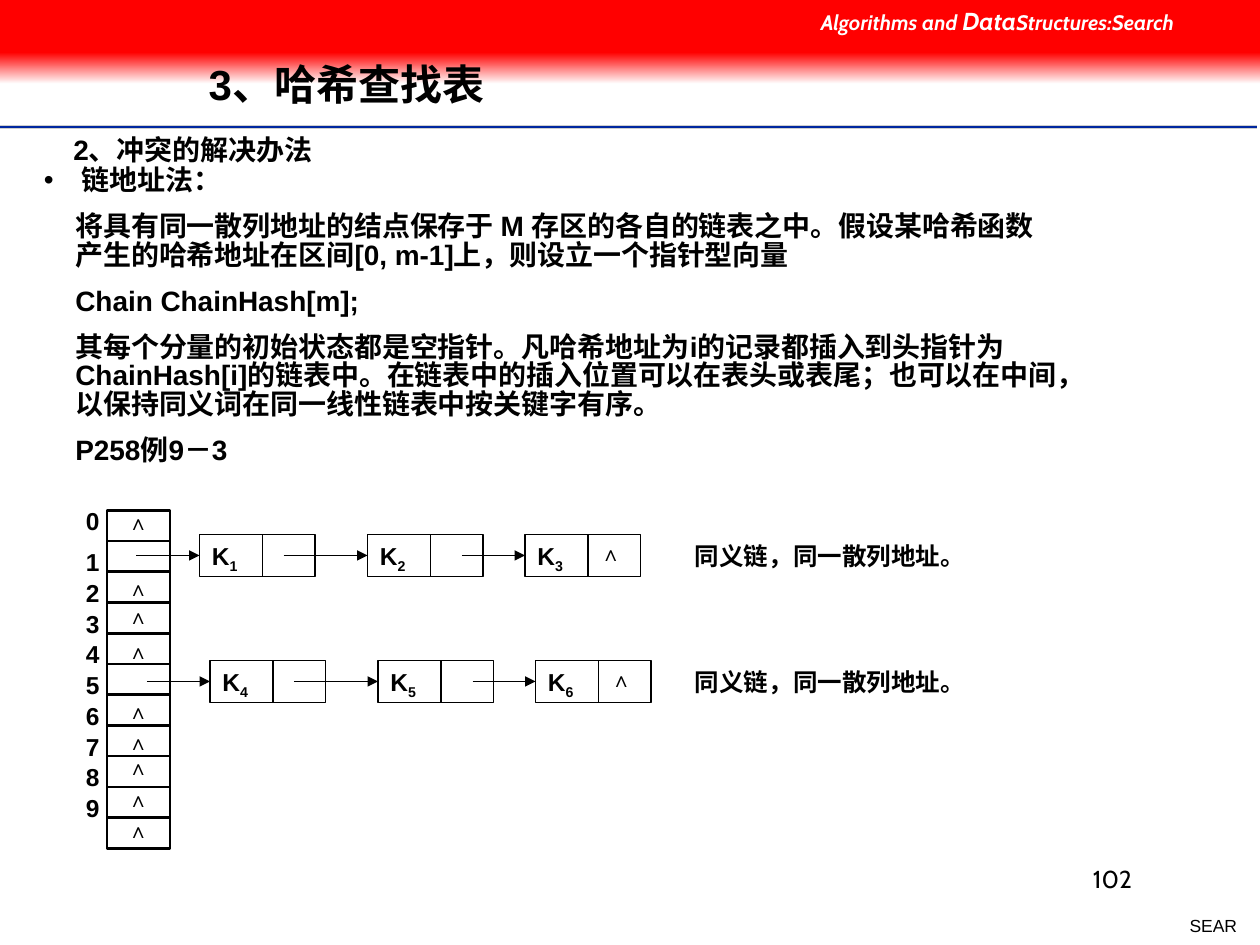
import pptx
import pptx.util
import pptx.dml.color
import pptx.enum.dml
import pptx.enum.shapes
import pptx.enum.text
import pptx.oxml.ns
from lxml import etree

THEME = {
    "black": "000000", "white": "FFFFFF", "red": "FF0000", "blue": "00279F", "grey": "CECECE",
    "font": "Arial", "display": "Cabin",
    "title": 24, "body": 16, "label": 14, "small": 12, "footer": 10,
}
qn = pptx.oxml.ns.qn
rgb = pptx.dml.color.RGBColor.from_string
Pt = pptx.util.Pt
ALIGN = pptx.enum.text.PP_ALIGN

deck = pptx.Presentation()
deck.slide_width = pptx.util.Inches(10)
deck.slide_height = pptx.util.Inches(7.5)
slide = deck.slides.add_slide(deck.slide_layouts[6])
UNIT = deck.slide_width / 120


def write(left, top, width, height, paragraphs, font=THEME["font"], color=THEME["black"],
          bold=True, italic=False, align=ALIGN.LEFT, wrap=True, grow=True):
    box = slide.shapes.add_textbox(*(round(n * UNIT) for n in (left, top, width, height)))
    frame = box.text_frame
    frame.word_wrap = wrap
    if grow:
        frame.auto_size = pptx.enum.text.MSO_AUTO_SIZE.SHAPE_TO_FIT_TEXT
    for index, runs in enumerate(paragraphs):
        paragraph = frame.paragraphs[0] if index == 0 else frame.add_paragraph()
        paragraph.alignment = align
        for words, size, baseline in runs:
            run = paragraph.add_run()
            run.text = words
            run.font.name = font
            run.font.size = Pt(size)
            run.font.bold = bold
            run.font.italic = italic
            run.font.color.rgb = rgb(color)
            if baseline:
                run.font._element.set("baseline", str(baseline))
    return frame


def rule(x1, y1, x2, y2, width, color=THEME["black"], target=None):
    line = slide.shapes.add_connector(
        pptx.enum.shapes.MSO_CONNECTOR.STRAIGHT, *(round(n * UNIT) for n in (x1, y1, x2, y2)))
    line.line.width = Pt(width)
    line.line.color.rgb = rgb(color)
    etree.SubElement(line._element.spPr, qn("a:effectLst"))
    if target is not None:
        line.end_connect(target, 1)
        etree.SubElement(line.line._get_or_add_ln(), qn("a:tailEnd"), type="triangle")


RULE_Y = 12.12
for y, width, color in [(RULE_Y, 2, "grey"), (RULE_Y, 1, "blue"), (RULE_Y + 0.24, 1, "white")]:
    rule(0, y, 119.76, y, width, THEME[color])

TABLE_X, TABLE_Y, TABLE_W, TABLE_H, SLOTS = 10.2, 48.6, 6, 32.2, 11
NODE_W, NODE_H, KEY_W = 11, 4, 6
CHAIN_TOPS = [50.9, 62.9]
NODE_STARTS = [19, 35, 50]
ARROW_STARTS = [13, 27, 44]
nodes = [(start + shift, top) for shift, top in enumerate(CHAIN_TOPS) for start in NODE_STARTS]

boxes = [(0, 5, 120, 3, "red", 0), (0, 0, 120, 5, "red", 0),
         (TABLE_X, TABLE_Y, TABLE_W, TABLE_H, "white", 1.5)]
boxes += [(x, y, NODE_W, NODE_H, "white", 0.75) for x, y in nodes]
drawn = []
for x, y, width, height, fill, outline in boxes:
    box = slide.shapes.add_shape(pptx.enum.shapes.MSO_SHAPE.RECTANGLE,
                                 *(round(n * UNIT) for n in (x, y, width, height)))
    box.shadow.inherit = False
    box.fill.solid()
    box.fill.fore_color.rgb = rgb(THEME[fill])
    if outline:
        box.line.width = Pt(outline)
        box.line.color.rgb = rgb(THEME["black"])
    else:
        box.line.fill.background()
    drawn.append(box)

fade = drawn[0].fill
fade.gradient()
fade.gradient_angle = 270
for stop, position, color in zip(fade.gradient_stops, (0, 1), ("red", "white")):
    stop.position = position
    stop.color.rgb = rgb(THEME[color])

write(77, 0, 43, 4.1, [[("Algorithms and ", THEME["small"], 0), ("Data", THEME["label"], 0),
                        ("Structures:Search", THEME["small"], 0)]],
      font=THEME["display"], color=THEME["white"], italic=True)
write(112, 86.6, 7, 3.2, [[("SEAR", THEME["footer"], 0)]], bold=False, align=ALIGN.RIGHT, wrap=False)
write(86, 81.7, 23, 6, [[("102", THEME["label"], 0)]], font=THEME["display"], bold=False,
      align=ALIGN.RIGHT, grow=False)

title = write(18.7, 3.8, 90.6, 8.9, [[("3、哈希查找表", THEME["title"], 0)]], grow=False)
title.vertical_anchor = pptx.enum.text.MSO_ANCHOR.MIDDLE
title.paragraphs[0].line_spacing = 0.9

heading = write(-0.2, 12, 31.8, 4.4, [[("2、冲突的解决办法", THEME["body"], 0)]], wrap=False)
explanation = write(0, 15.4, 102, 29.6, [[(words, THEME["body"], 0)] for words in [
    " 链地址法：",
    "将具有同一散列地址的结点保存于 M 存区的各自的链表之中。假设某哈希函数产生的哈希地址在区间[0, m-1]上，则设立一个指针型向量",
    "Chain ChainHash[m];",
    "其每个分量的初始状态都是空指针。凡哈希地址为i的记录都插入到头指针为ChainHash[i]的链表中。在链表中的插入位置可以在表头或表尾；也可以在中间，以保持同义词在同一线性链表中按关键字有序。",
    "P258例9－3",
]])
for paragraph in heading.paragraphs + explanation.paragraphs:
    paragraph.level = 1
    paragraph._p.get_or_add_pPr().set("marL", str(round(6 * UNIT)))
    paragraph._p.get_or_add_pPr().set("indent", "0")
for index, paragraph in enumerate(explanation.paragraphs):
    paragraph.line_spacing = 0.85
    paragraph.space_before = Pt(10 if index else 0)
method = explanation.paragraphs[0]._p.get_or_add_pPr()
method.set("indent", str(round(-3 * UNIT)))
bullet_color = etree.SubElement(method, qn("a:buClr"))
etree.SubElement(bullet_color, qn("a:srgbClr"), val=THEME["black"])
etree.SubElement(method, qn("a:buFont"), typeface=THEME["font"])
etree.SubElement(method, qn("a:buChar"), char="•")

for slot in range(1, SLOTS):
    y = TABLE_Y + slot * TABLE_H / SLOTS
    rule(TABLE_X, y, TABLE_X + TABLE_W, y, 1.5)
for address in range(SLOTS - 1):
    y = TABLE_Y + address * TABLE_H / SLOTS if address else 47.6
    write(7, y, 2.4, 4.1, [[(str(address), THEME["label"], 0)]])

empty_slots = [(11, y) for y in (47.9, 54.2, 56.9, 60.2, 65.9, 68.9, 71.3, 74.3, 77.3)]
chain_ends = [(x + KEY_W, y) for x, y in nodes[2::3]]
for x, y in empty_slots + chain_ends:
    write(x, y, 4, 3.6, [[("∧", THEME["small"], 0)]])

for index, (x, y) in enumerate(nodes):
    shift, place = divmod(index, len(NODE_STARTS))
    rule(x + KEY_W, y, x + KEY_W, y + NODE_H, 0.75)
    write(x, y, KEY_W, 4.4, [[("K", THEME["label"], 0), (str(index + 1), THEME["label"], -25000)]])
    middle = y + NODE_H / 2
    rule(ARROW_STARTS[place] + shift, middle, x, middle, 0.75, target=drawn[3 + index])
for top in CHAIN_TOPS:
    write(65, top, 31, 4.1, [[("同义链，同一散列地址。", THEME["label"], 0)]])

deck.save("out.pptx")
